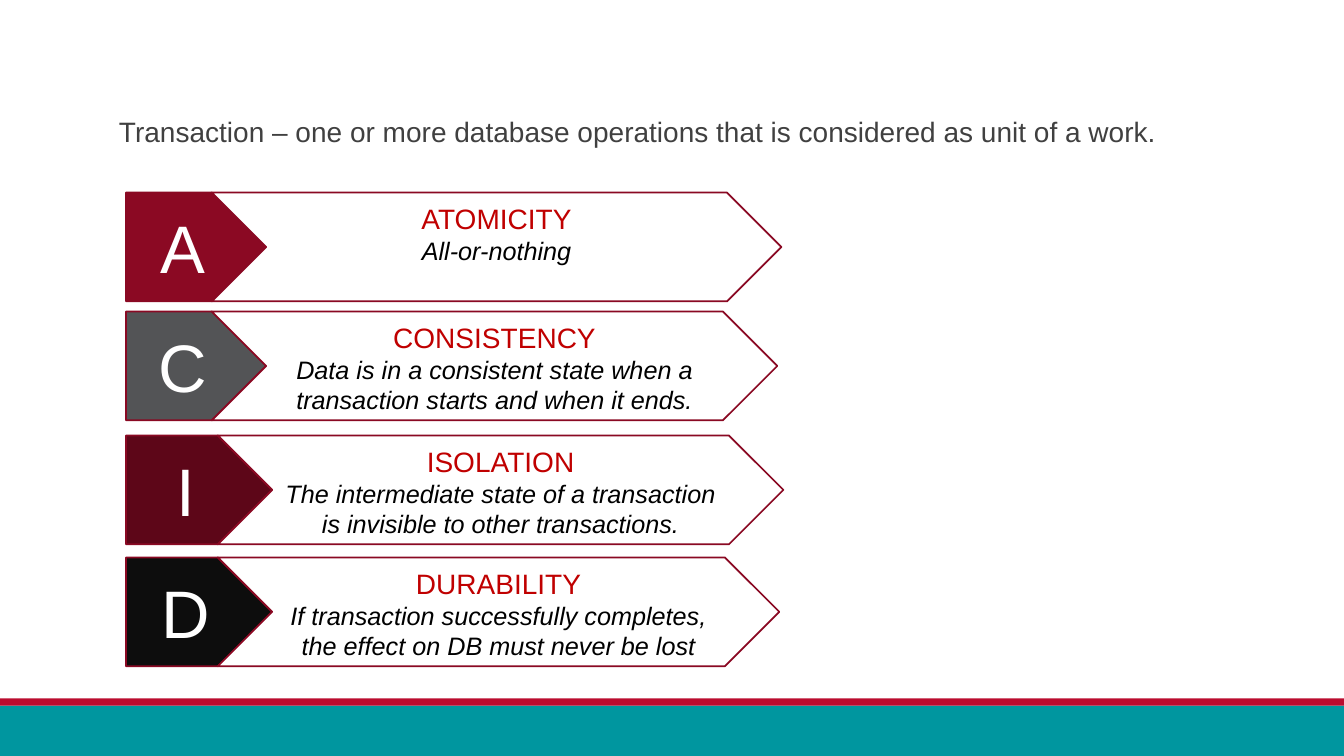
from pptx import Presentation
from pptx.dml.color import RGBColor
from pptx.enum.shapes import MSO_SHAPE
from pptx.enum.text import MSO_ANCHOR, MSO_AUTO_SIZE, PP_ALIGN
from pptx.util import Inches, Pt

FONT = "Arial"
WHITE = "FFFFFF"
OUTLINE = "8A0923"
ROW_LEFT = 1.25
ROW_HEIGHT = 1.08
NOTCH = ROW_HEIGHT / 2

PROPERTIES = [
    ("A", "ATOMICITY", "All-or-nothing", "8B0923", 1.91, 1.39, 5.65),
    ("C", "CONSISTENCY",
     "Data is in a consistent state when a transaction starts and when it ends.",
     "535456", 3.09, 1.39, 5.61),
    ("I", "ISOLATION",
     "The intermediate state of a transaction is invisible to other transactions.",
     "5D0618", 4.32, 1.45, 5.61),
    ("D", "DURABILITY",
     "If transaction successfully completes, the effect on DB must never be lost",
     "0D0D0D", 5.53, 1.45, 5.57),
]


def color(value):
    """Turn a hex string into a colour."""
    return RGBColor.from_string(value)


def write(paragraph, text, size, text_color, align=PP_ALIGN.CENTER, italic=False):
    """Fill a paragraph with text and format its runs."""
    paragraph.text = text
    paragraph.alignment = align
    for run in paragraph.runs:
        run.font.name = FONT
        run.font.size = Pt(size)
        run.font.italic = italic
        run.font.color.rgb = color(text_color)


def add_block(slide, preset, left, top, width, height, fill, line=None):
    """Add a flat preset shape, outlined when a line colour is given."""
    shape = slide.shapes.add_shape(
        preset, Inches(left), Inches(top), Inches(width), Inches(height))
    shape.shadow.inherit = False
    shape.fill.solid()
    shape.fill.fore_color.rgb = color(fill)
    if line:
        shape.line.color.rgb = color(line)
        shape.line.width = Pt(1.25)
    else:
        shape.line.fill.background()
    return shape


def add_heading(slide, text):
    """Place the definition in the title placeholder."""
    title = slide.shapes.title
    title.left, title.top = Inches(0.98), Inches(1.12)
    title.width, title.height = Inches(11), Inches(0.69)
    frame = title.text_frame
    frame.word_wrap = True
    frame.auto_size = MSO_AUTO_SIZE.NONE
    frame.vertical_anchor = MSO_ANCHOR.TOP
    frame.margin_left = Inches(0.2)
    write(frame.paragraphs[0], text, 20, "404040", PP_ALIGN.LEFT)
    frame.paragraphs[0].line_spacing = 0.9


def add_property(slide, letter, name, meaning, fill, top, plate_width, chevron_width):
    """Add one row: a letter plate and the chevron that explains it."""
    plate = add_block(slide, MSO_SHAPE.PENTAGON, ROW_LEFT, top,
                      plate_width, ROW_HEIGHT, fill, OUTLINE)
    plate.text_frame.vertical_anchor = MSO_ANCHOR.MIDDLE
    write(plate.text_frame.paragraphs[0], letter, 48, WHITE)

    chevron = add_block(slide, MSO_SHAPE.CHEVRON, ROW_LEFT + plate_width - NOTCH, top,
                        chevron_width, ROW_HEIGHT, WHITE, OUTLINE)
    frame = chevron.text_frame
    frame.word_wrap = True
    frame.vertical_anchor = MSO_ANCHOR.TOP
    frame.margin_top = Inches(0.09)
    write(frame.paragraphs[0], name, 20, "C00000")
    write(frame.add_paragraph(), meaning, 18, "000000", italic=True)


def main():
    """Build the slide and save it."""
    presentation = Presentation()
    presentation.slide_width = Inches(13.33)
    presentation.slide_height = Inches(7.5)
    slide = presentation.slides.add_slide(presentation.slide_layouts[5])
    add_block(slide, MSO_SHAPE.RECTANGLE, 0, 7, 13.33, 0.5, "00969F")
    add_block(slide, MSO_SHAPE.RECTANGLE, 0, 6.93, 13.33, 0.07, "BA0C2F")
    add_heading(slide, "Transaction – one or more database operations "
                       "that is considered as unit of a work.")
    for row in PROPERTIES:
        add_property(slide, *row)
    presentation.save("out.pptx")


if __name__ == "__main__":
    main()
